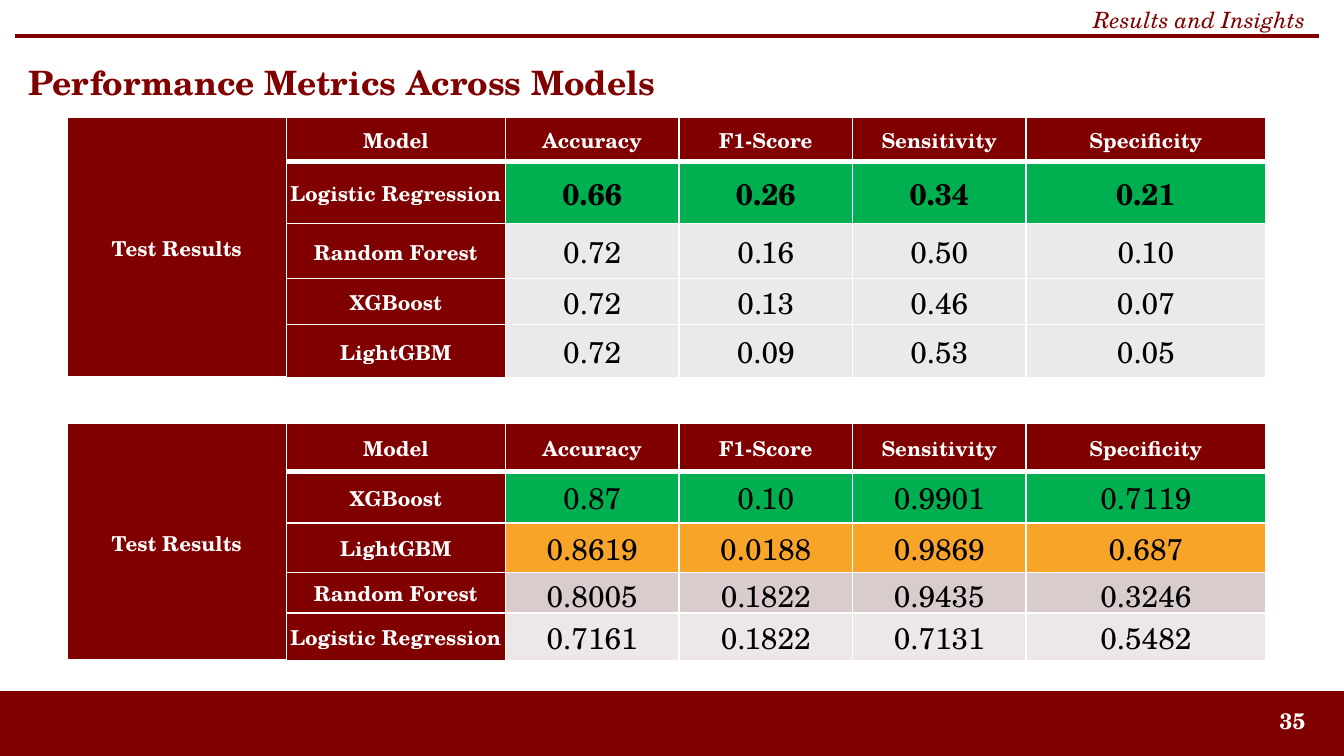
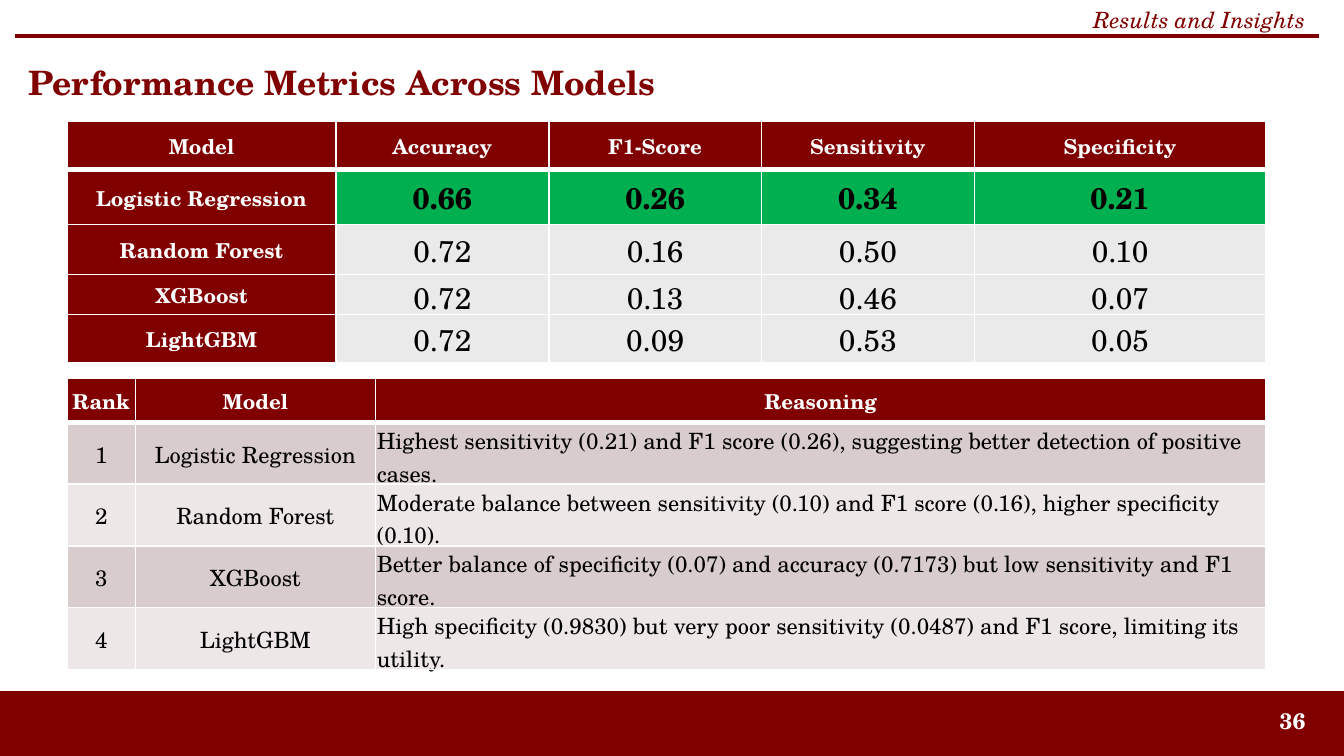
from lxml.etree import SubElement
from pptx import Presentation
from pptx.dml.color import RGBColor
from pptx.enum.shapes import MSO_CONNECTOR, MSO_SHAPE
from pptx.enum.text import MSO_ANCHOR, PP_ALIGN
from pptx.oxml import parse_xml
from pptx.oxml.ns import nsdecls, qn
from pptx.util import Pt

# Content
SECTION = "Results and Insights"
TITLE = "Performance Metrics Across Models"
METRICS = ["Model", "Accuracy", "F1-Score", "Sensitivity", "Specificity"]
FIRST_RESULTS = [
    ["Logistic Regression", "0.66", "0.26", "0.34", "0.21"],
    ["Random Forest", "0.72", "0.16", "0.50", "0.10"],
    ["XGBoost", "0.72", "0.13", "0.46", "0.07"],
    ["LightGBM", "0.72", "0.09", "0.53", "0.05"],
]
SECOND_RESULTS = [
    ["XGBoost", "0.87", "0.10", "0.9901", "0.7119"],
    ["LightGBM", "0.8619", "0.0188", "0.9869", "0.687"],
    ["Random Forest", "0.8005", "0.1822", "0.9435", "0.3246"],
    ["Logistic Regression", "0.7161", "0.1822", "0.7131", "0.5482"],
]
RANKING = [
    ["1", "Logistic Regression",
     "Highest sensitivity (0.21) and F1 score (0.26), suggesting better detection of positive cases."],
    ["2", "Random Forest",
     "Moderate balance between sensitivity (0.10) and F1 score (0.16), higher specificity (0.10)."],
    ["3", "XGBoost",
     "Better balance of specificity (0.07) and accuracy (0.7173) but low sensitivity and F1 score."],
    ["4", "LightGBM",
     "High specificity (0.9830) but very poor sensitivity (0.0487) and F1 score, limiting its utility."],
]

THEME = {
    "font": "TeX Gyre Schola",
    "maroon": "800000", "white": "FFFFFF", "black": "000000",
    "best": "00B050", "second": "F8A429",
    "gray": "EAEAEA", "rose": "D8CCCC", "pale": "EDE7E7",
    "title": 18, "small": 12, "head": 11, "value": 16,
    "rule": 1, "head_rule": 3, "inset": 0.72,
}
WIDTH, HEIGHT = 720, 405
TABLE_LEFT = 36
GROUPED_COLS = [117.4, 117.4, 93, 93, 93, 128.4]
MODEL_COLS = [144, 114, 114, 114, 156.2]
RANK_COLS = [36.5, 128.7, 477]

# "group" adds a merged first column, "labels" makes the model names header cells
FIRST_FILLS = ["best", "gray", "gray", "gray"]
SLIDES = [
    (35, [
        {"top": 226.8, "cols": GROUPED_COLS, "rows": [25.9, 27.4, 26.6, 21.6, 25.9],
         "head": METRICS, "body": SECOND_RESULTS, "fills": ["best", "second", "rose", "pale"],
         "group": "Test Results", "labels": True},
        {"top": 62.9, "cols": GROUPED_COLS, "rows": [23.8, 33.1, 29.5, 24.5, 28.8],
         "head": METRICS, "body": FIRST_RESULTS, "fills": FIRST_FILLS,
         "group": "Test Results", "labels": True, "bold_first": True},
    ]),
    (36, [
        {"top": 65, "cols": MODEL_COLS, "rows": [25.9, 29.5, 26.6, 21.6, 25.9],
         "head": METRICS, "body": FIRST_RESULTS, "fills": FIRST_FILLS,
         "labels": True, "bold_first": True},
        {"top": 202.5, "cols": RANK_COLS, "rows": [23.8] + [33.1] * 4,
         "head": ["Rank", "Model", "Reasoning"], "body": RANKING,
         "fills": ["rose", "pale", "rose", "pale"], "left_col": 2},
    ]),
]


def color(name):
    return RGBColor.from_string(THEME[name])


def write(tf, text, size, ink, align=PP_ALIGN.LEFT, **formats):
    p = tf.paragraphs[0]
    p.alignment = align
    r = p.add_run()
    r.text = text
    formats = {"name": THEME["font"], "size": Pt(THEME[size]), "bold": False, **formats}
    for key, value in formats.items():
        setattr(r.font, key, value)
    r.font.color.rgb = color(ink)


def add_text(s, box, text, size, ink, align=PP_ALIGN.LEFT, **formats):
    tf = s.shapes.add_textbox(*map(Pt, box)).text_frame
    tf.word_wrap = True
    tf.vertical_anchor = MSO_ANCHOR.MIDDLE
    write(tf, text, size, ink, align, **formats)


def add_frame(s, number):
    # Footer band, header rule, title, page number and section name
    band = s.shapes.add_shape(MSO_SHAPE.RECTANGLE, 0, Pt(370.8), Pt(WIDTH), Pt(35))
    band.shadow.inherit = False
    band.fill.solid()
    band.fill.fore_color.rgb = band.line.color.rgb = color("maroon")
    band.line.width = Pt(1)
    rule = s.shapes.add_connector(MSO_CONNECTOR.STRAIGHT, Pt(8), Pt(19.4), Pt(706.4), Pt(19.4))
    rule.line.color.rgb = color("maroon")
    rule.line.width = Pt(2)
    SubElement(rule._element.spPr, qn("a:effectLst"))
    add_text(s, (8, 22.3, 698.4, 43.2), TITLE, "title", "maroon", bold=True)
    add_text(s, (666, 375.1, 40.4, 21.6), str(number), "small", "white", PP_ALIGN.RIGHT, bold=True)
    add_text(s, (360, 4.3, 346.4, 12.2), SECTION, "small", "maroon", PP_ALIGN.RIGHT, italic=True)


def set_borders(cell, top, bottom):
    tc_pr = cell._tc.get_or_add_tcPr()
    rule = THEME["rule"]
    for i, (side, width) in enumerate(zip("LRTB", (rule, rule, top, bottom))):
        tc_pr.insert(i, parse_xml(
            f'<a:ln{side} {nsdecls("a")} w="{int(Pt(width))}"><a:solidFill>'
            f'<a:srgbClr val="{THEME["white"]}"/></a:solidFill></a:ln{side}>'))


def format_cell(cell, fill, row):
    for key in ("margin_left", "margin_right", "margin_top"):
        setattr(cell, key, Pt(THEME["inset"]))
    cell.margin_bottom = 0
    cell.vertical_anchor = MSO_ANCHOR.MIDDLE
    cell.fill.solid()
    cell.fill.fore_color.rgb = color(fill)
    thin, thick = THEME["rule"], THEME["head_rule"]
    set_borders(cell, thick if row == 1 else thin, thick if row == 0 else thin)


def add_results(s, t):
    rows, cols = t["rows"], t["cols"]
    frame = s.shapes.add_table(len(rows), len(cols), Pt(TABLE_LEFT), Pt(t["top"]),
                               Pt(sum(cols)), Pt(sum(rows)))
    table = frame.table
    table.horz_banding = False
    for column, width in zip(table.columns, cols):
        column.width = Pt(width)
    for row, height in zip(table.rows, rows):
        row.height = Pt(height)

    # Merged group label on the left
    shift = 1 if "group" in t else 0
    if shift:
        for i in range(len(rows)):
            format_cell(table.cell(i, 0), "maroon", i)
        group = table.cell(0, 0)
        group.merge(table.cell(len(rows) - 1, 0))
        write(group.text_frame, t["group"], "head", "white", PP_ALIGN.CENTER, bold=True)

    # Header row, model labels and values
    labels = t.get("labels", False)
    for i, texts in enumerate([t["head"]] + t["body"]):
        for j, text in enumerate(texts):
            cell = table.cell(i, j + shift)
            is_head = i == 0 or (labels and j == 0)
            format_cell(cell, "maroon" if is_head else t["fills"][i - 1], i)
            size = "head" if is_head else "value" if labels else "small"
            is_prose = i > 0 and j == t.get("left_col")
            write(cell.text_frame, text, size, "white" if is_head else "black",
                  PP_ALIGN.LEFT if is_prose else PP_ALIGN.CENTER,
                  bold=is_head or (i == 1 and t.get("bold_first", False)))


def main():
    prs = Presentation()
    prs.slide_width, prs.slide_height = Pt(WIDTH), Pt(HEIGHT)
    for number, tables in SLIDES:
        s = prs.slides.add_slide(prs.slide_layouts[6])
        add_frame(s, number)
        for t in tables:
            add_results(s, t)
    prs.save("out.pptx")


if __name__ == "__main__":
    main()
